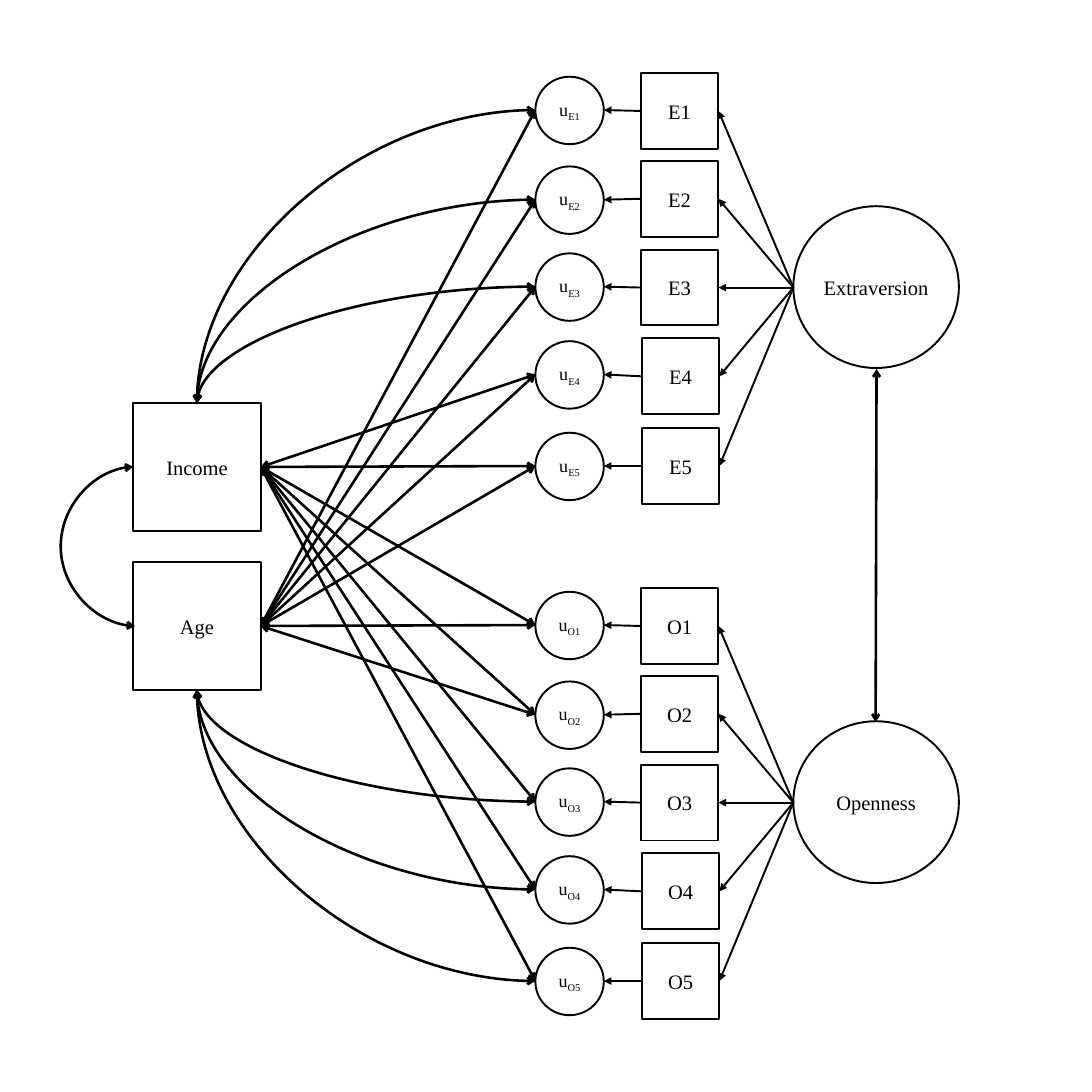
"""Builds a path diagram linking income and age to two personality factors."""
from dataclasses import dataclass

from lxml import etree
from pptx import Presentation
from pptx.dml.color import RGBColor
from pptx.enum.shapes import MSO_CONNECTOR, MSO_SHAPE
from pptx.enum.text import MSO_ANCHOR, PP_ALIGN
from pptx.oxml.ns import qn
from pptx.util import Pt

RECTANGLE, OVAL = MSO_SHAPE.RECTANGLE, MSO_SHAPE.OVAL
STRAIGHT, CURVE = MSO_CONNECTOR.STRAIGHT, MSO_CONNECTOR.CURVE
CENTER, MIDDLE = PP_ALIGN.CENTER, MSO_ANCHOR.MIDDLE
PX = 9144


@dataclass(frozen=True)
class Theme:
    font: str = "Times New Roman"
    ink: RGBColor = RGBColor(0, 0, 0)
    paper: RGBColor = RGBColor(255, 255, 255)
    label_size: int = 16
    error_size: int = 14
    thin: float = 1.5
    thick: float = 2


theme = Theme()
deck = Presentation()
deck.slide_width = deck.slide_height = 1181 * PX
page = deck.slides.add_slide(deck.slide_layouts[6])


def add_node(kind, frame, insets, size, text, subscript=""):
    box = page.shapes.add_shape(kind, *(length * PX for length in frame))
    box.shadow.inherit = False
    box.fill.solid()
    box.fill.fore_color.rgb = theme.paper
    box.line.color.rgb = theme.ink
    box.line.width = Pt(theme.thin)
    words = box.text_frame
    words.word_wrap = True
    words.vertical_anchor = MIDDLE
    words.margin_left = words.margin_right = insets[0] * PX
    words.margin_top = words.margin_bottom = insets[1] * PX
    para = words.paragraphs[0]
    para.alignment = CENTER
    for part in filter(None, (text, subscript)):
        span = para.add_run()
        span.text = part
        span.font.name = theme.font
        span.font.size = Pt(size)
        span.font.color.rgb = theme.ink
        if part == subscript:
            span.font._element.set("baseline", "-25000")


def add_arrow(start, end, double=True, preset=None, bend=None):
    kind = CURVE if preset else STRAIGHT
    arrow = page.shapes.add_connector(kind, *(length * PX for length in start + end))
    arrow.line.color.rgb = theme.ink
    arrow.line.width = Pt(theme.thick if double else theme.thin)
    properties = arrow._element.spPr
    outline = properties.find(qn("a:ln"))
    if double:
        etree.SubElement(outline, qn("a:headEnd"), type="arrow")
    etree.SubElement(outline, qn("a:tailEnd"), type="arrow" if double else "triangle")
    etree.SubElement(properties, qn("a:effectLst"))
    if preset:
        geometry = properties.find(qn("a:prstGeom"))
        geometry.set("prst", preset)
        if bend:
            guides = geometry.get_or_add_avLst()
            etree.SubElement(guides, qn("a:gd"), name="adj1", fmla=f"val {bend}")


ITEM_LEFTS = (693, 693, 693, 694, 694)
ITEM_TOPS = (79, 174, 270, 366, 463)
ERROR_TOPS = (83, 180, 274, 369, 468)
ITEM_WIDTH, ITEM_HEIGHT = 84, 82
ERROR_LEFT, ERROR_WIDTH, ERROR_HEIGHT = 579, 74, 73
FACTOR_LEFT, FACTOR_TOP, FACTOR_WIDTH, FACTOR_HEIGHT = 858, 223, 179, 175
BLOCK_STEP = 557
PERSON_LEFT, PERSON_SIDE = 144, 138
PERSON_TOPS = {"Income": 436, "Age": 608}

error_ports = []
for block, factor in enumerate(("Extraversion", "Openness")):
    shift = block * BLOCK_STEP
    factor_top = FACTOR_TOP + shift
    factor_port = (FACTOR_LEFT, factor_top + FACTOR_HEIGHT // 2 + 1)
    add_node(OVAL, (FACTOR_LEFT, factor_top, FACTOR_WIDTH, FACTOR_HEIGHT),
             (0, 5), theme.label_size, factor)
    rows = zip(ITEM_LEFTS, ITEM_TOPS, ERROR_TOPS)
    for number, (left, item_top, error_top) in enumerate(rows, 1):
        name = f"{factor[0]}{number}"
        add_node(RECTANGLE, (left, item_top + shift, ITEM_WIDTH, ITEM_HEIGHT),
                 (6, 3), theme.label_size, name)
        add_node(OVAL, (ERROR_LEFT, error_top + shift, ERROR_WIDTH, ERROR_HEIGHT),
                 (10, 5), theme.error_size, "u", name)
        item_middle = item_top + shift + ITEM_HEIGHT // 2
        error_middle = error_top + shift + ERROR_HEIGHT // 2
        add_arrow(factor_port, (left + ITEM_WIDTH, item_middle), double=False)
        add_arrow((left, item_middle), (ERROR_LEFT + ERROR_WIDTH, error_middle),
                  double=False)
        error_ports.append((ERROR_LEFT, error_middle))

for person, top in PERSON_TOPS.items():
    add_node(RECTANGLE, (PERSON_LEFT, top, PERSON_SIDE, PERSON_SIDE),
             (6, 3), theme.label_size, person)

income_top, age_top = PERSON_TOPS.values()
person_center = PERSON_LEFT + PERSON_SIDE // 2
person_right = PERSON_LEFT + PERSON_SIDE
income_middle, age_middle = (top + PERSON_SIDE // 2 for top in PERSON_TOPS.values())

for port in error_ports[:3]:
    add_arrow(port, (person_center, income_top), preset="curvedConnector2")
for port in error_ports[3:]:
    add_arrow((person_right, income_middle), port)
for port in error_ports[:7]:
    add_arrow((person_right, age_middle), port)
for port in error_ports[7:]:
    add_arrow(port, (person_center, age_top + PERSON_SIDE), preset="curvedConnector2")

add_arrow((PERSON_LEFT + 2, age_middle), (PERSON_LEFT, income_middle),
          preset="curvedConnector3", bend=4000000)
factor_center = FACTOR_LEFT + FACTOR_WIDTH // 2
add_arrow((factor_center + 1, FACTOR_TOP + FACTOR_HEIGHT + 1),
          (factor_center, FACTOR_TOP + BLOCK_STEP + 1))

deck.save("out.pptx")
